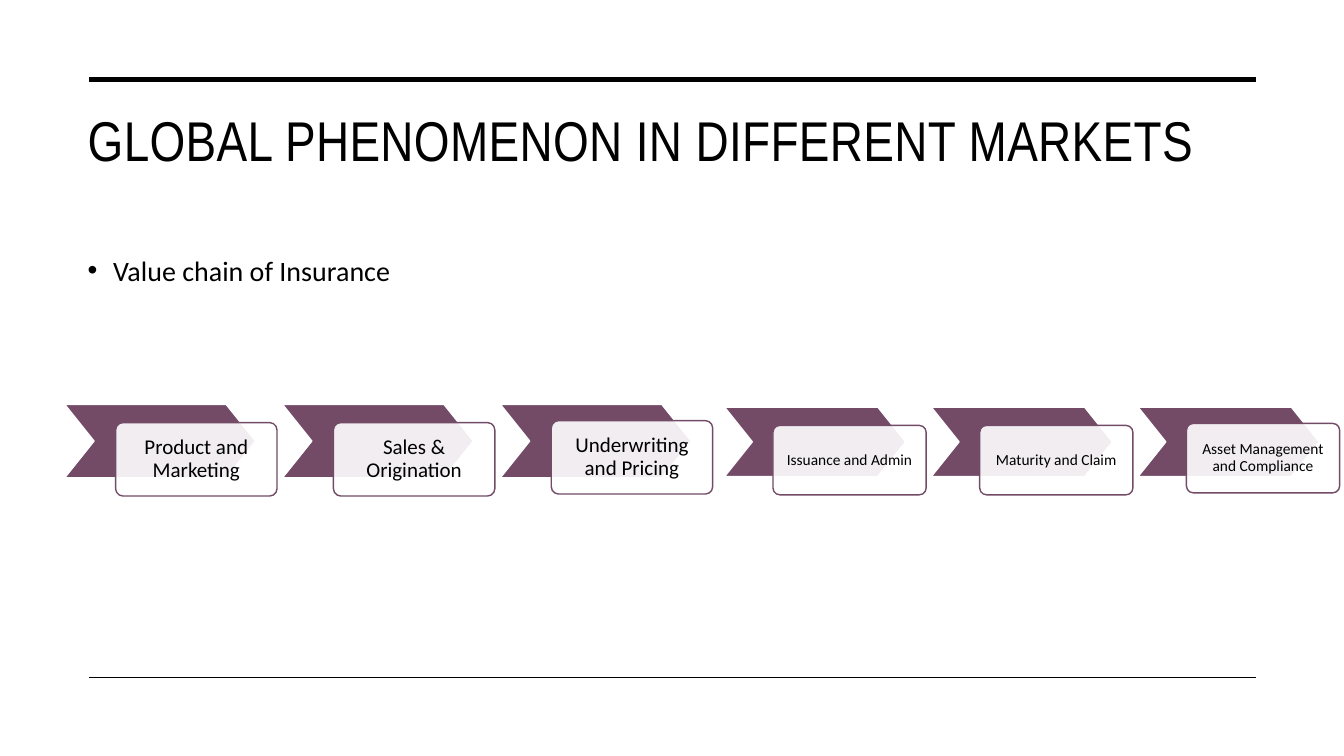
from dataclasses import dataclass

from lxml import etree
from pptx import Presentation
from pptx.dml.color import RGBColor
from pptx.enum.shapes import MSO_CONNECTOR, MSO_SHAPE
from pptx.enum.text import MSO_ANCHOR, MSO_AUTO_SIZE, PP_ALIGN
from pptx.oxml.ns import qn
from pptx.util import Cm, Pt

CHEVRON, CARD = MSO_SHAPE.CHEVRON, MSO_SHAPE.ROUNDED_RECTANGLE
STRAIGHT = MSO_CONNECTOR.STRAIGHT
TOP, MIDDLE = MSO_ANCHOR.TOP, MSO_ANCHOR.MIDDLE
LEFT, CENTER = PP_ALIGN.LEFT, PP_ALIGN.CENTER


@dataclass(frozen=True)
class Theme:
    ink: RGBColor = RGBColor(0x00, 0x00, 0x00)
    paper: RGBColor = RGBColor(0xFF, 0xFF, 0xFF)
    plum: RGBColor = RGBColor(0x73, 0x4B, 0x67)
    heading_font: str = "Arial Narrow"
    body_font: str = "Calibri"
    title_size: int = 40
    body_size: int = 20
    large_step: int = 15
    small_step: int = 11


THEME = Theme()


def write_text(shape, text, *, size, font=THEME.body_font, align=LEFT,
               anchor=TOP, line_spacing=1.0, insets=(0.25, 0.13),
               tracking=None, bullet_indent=None):
    """Fill a shape with one formatted paragraph; lengths are in cm."""
    frame = shape.text_frame
    frame.word_wrap = True
    frame.auto_size = MSO_AUTO_SIZE.NONE
    frame.vertical_anchor = anchor
    frame.margin_left = frame.margin_right = Cm(insets[0])
    frame.margin_top = frame.margin_bottom = Cm(insets[1])
    paragraph = frame.paragraphs[0]
    paragraph.alignment = align
    paragraph.line_spacing = line_spacing
    paragraph.space_before = Pt(0)
    if bullet_indent:
        properties = paragraph._p.get_or_add_pPr()
        properties.set("marL", str(Cm(bullet_indent)))
        properties.set("indent", str(-Cm(bullet_indent)))
        etree.SubElement(properties, qn("a:buFont"), typeface="Arial")
        etree.SubElement(properties, qn("a:buChar"), char="•")
    run = paragraph.add_run()
    run.text = text
    run.font.name = font
    run.font.size = Pt(size)
    run.font.color.rgb = THEME.ink
    if tracking:
        run._r.get_or_add_rPr().set("spc", str(round(tracking * 100)))


def place(shape, box):
    shape.left, shape.top, shape.width, shape.height = map(Cm, box)


def add_block(slide, kind, box, *, corner, fill, line, opacity=None):
    block = slide.shapes.add_shape(kind, *map(Cm, box))
    block.shadow.inherit = False
    block.adjustments[0] = corner
    block.fill.solid()
    block.fill.fore_color.rgb = fill
    block.line.color.rgb = line
    block.line.width = Pt(1)
    if opacity:
        color = block._element.spPr.find(qn("a:solidFill"))[0]
        etree.SubElement(color, qn("a:alpha"), val=str(opacity * 1000))
    return block


def add_frame_rules(slide, box):
    """Heavy rule along the top of the box, thin rule along its bottom."""
    left, top, width, height = box
    for y, weight in ((top, 3.5), (top + height, 1)):
        rule = slide.shapes.add_connector(
            STRAIGHT, Cm(left), Cm(y), Cm(left + width), Cm(y))
        rule.line.color.rgb = THEME.ink
        rule.line.width = Pt(weight)
        etree.SubElement(rule._element.spPr, qn("a:effectLst"))


def add_heading(slide, box):
    """Title above, bulleted topic below, sharing one column."""
    left, top, width, height = box
    title_height = 3.63
    title, topic = slide.shapes.title, slide.placeholders[1]
    place(title, (left, top, width, title_height))
    place(topic, (left, top + title_height, width, height - title_height))
    write_text(title, "GLOBAL PHENOMENON IN DIFFERENT MARKETS",
               size=THEME.title_size, font=THEME.heading_font, tracking=0.3)
    write_text(topic, "Value chain of Insurance", size=THEME.body_size,
               line_spacing=1.1, bullet_indent=0.64)


def add_value_chain(slide, box, steps, *, size, inset):
    """Equally spaced chevrons, each with an overlapping label card."""
    left, top, width, height = box
    # A chevron fills 7/8 of its pitch; the last card ends the box
    pitch = width / (len(steps) - 1 + 0.973)
    chevron_width = 0.876 * pitch
    card_width = 0.846 * chevron_width
    for index, step in enumerate(steps):
        x = left + index * pitch
        add_block(slide, CHEVRON, (x, top, chevron_width, height),
                  corner=0.4, fill=THEME.plum, line=THEME.paper)
        # The last card of each chain sits slightly higher
        drop = 0.41 if index == len(steps) - 1 else 0.46
        card = add_block(
            slide, CARD,
            (x + 0.267 * chevron_width, top + drop, card_width, height),
            corner=0.1, fill=THEME.paper, line=THEME.plum, opacity=90)
        write_text(card, step, size=size, align=CENTER, anchor=MIDDLE,
                   line_spacing=0.9, insets=(inset, inset))


def main():
    deck = Presentation()
    deck.slide_width, deck.slide_height = Cm(33.87), Cm(19.05)
    slide = deck.slides.add_slide(deck.slide_layouts[1])

    add_frame_rules(slide, (2.24, 2.01, 29.41, 15.06))
    add_heading(slide, (1.96, 2.54, 29.69, 14.02))

    # Value chain: front-end steps, then back-end steps
    add_value_chain(
        slide, (1.63, 10.19, 16.32, 1.85),
        ("Product and Marketing", "Sales & Origination",
         "Underwriting and Pricing"),
        size=THEME.large_step, inset=0.3)
    add_value_chain(
        slide, (18.26, 10.26, 15.49, 1.75),
        ("Issuance and Admin", "Maturity and Claim",
         "Asset Management and Compliance"),
        size=THEME.small_step, inset=0.23)

    deck.save("out.pptx")


if __name__ == "__main__":
    main()
